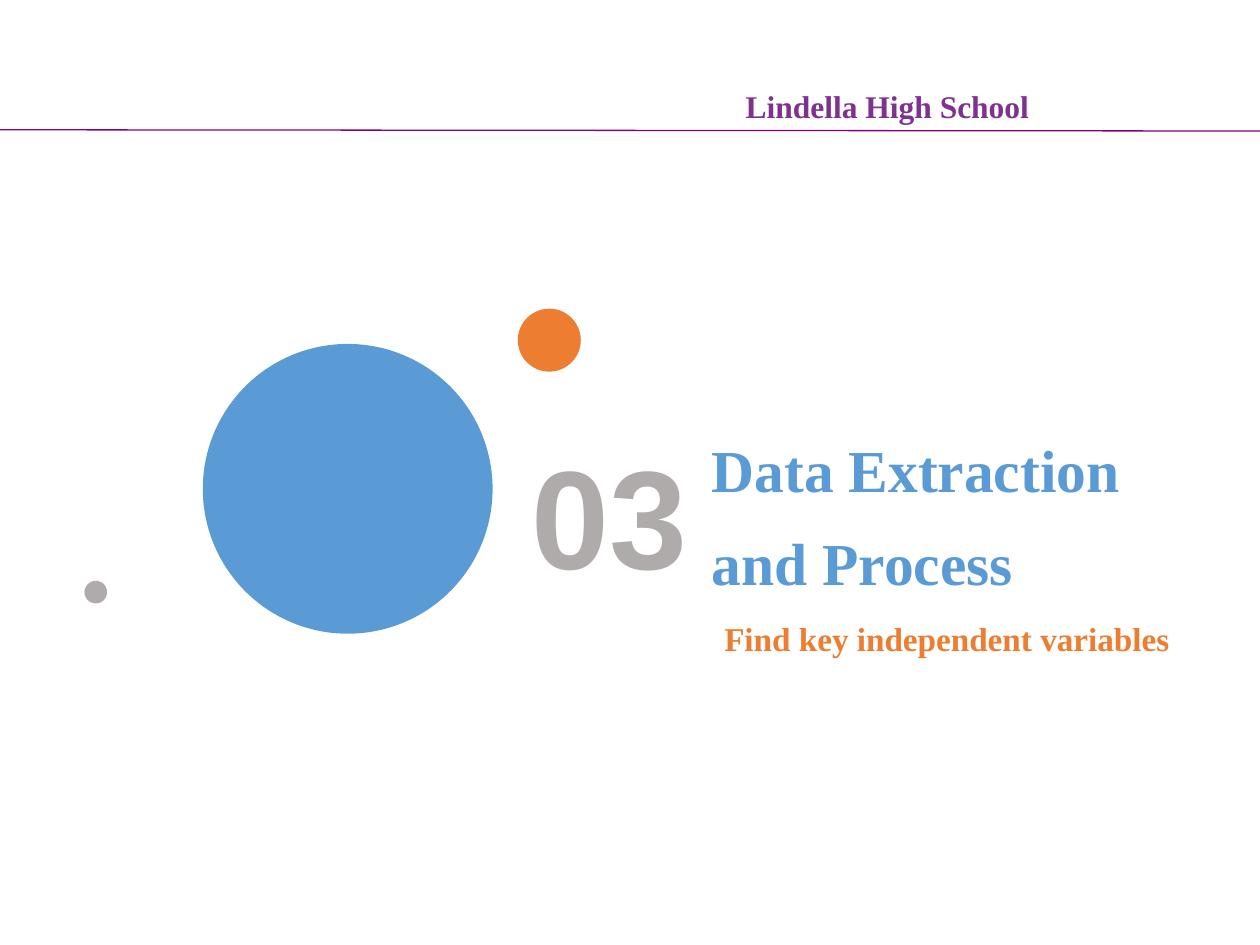
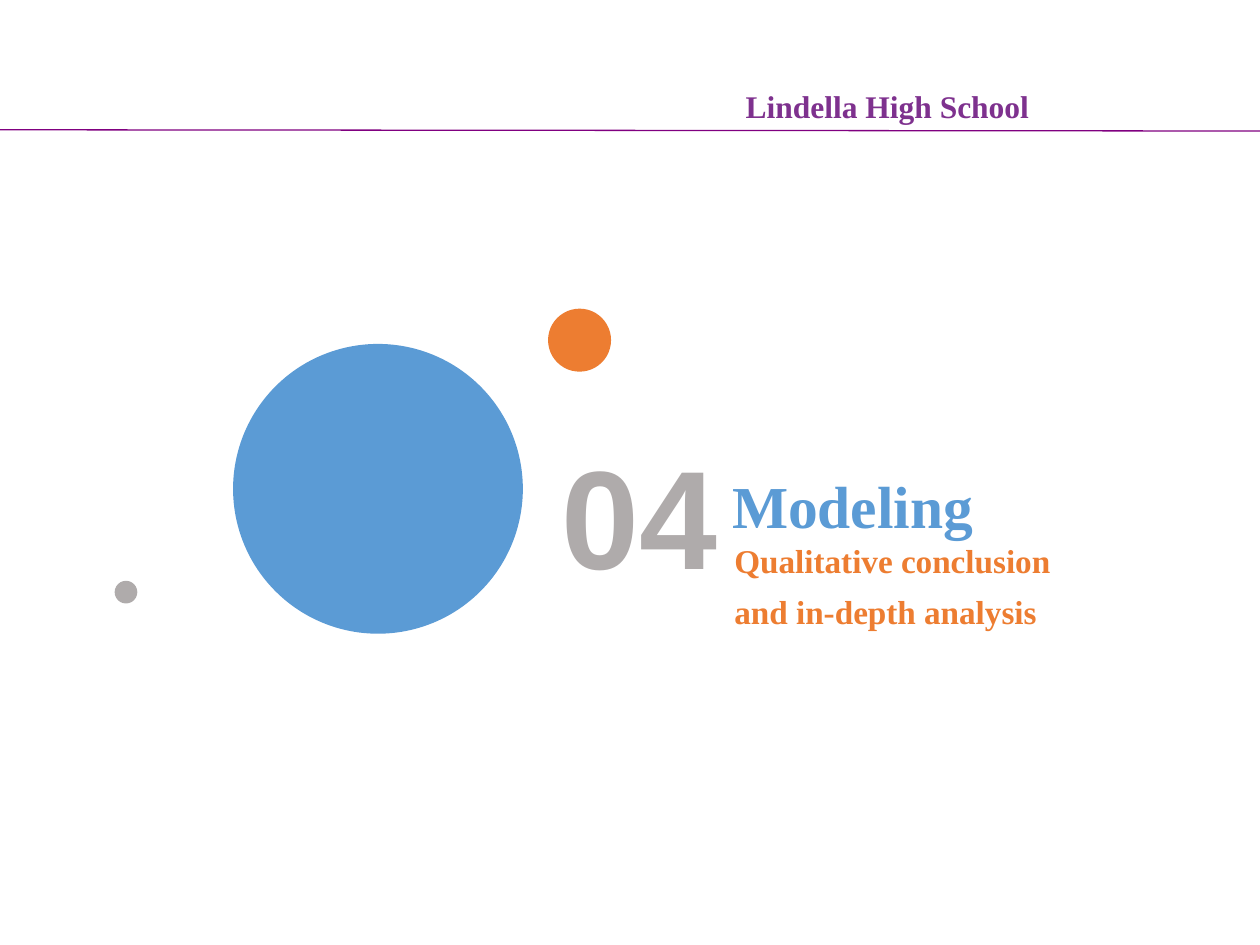
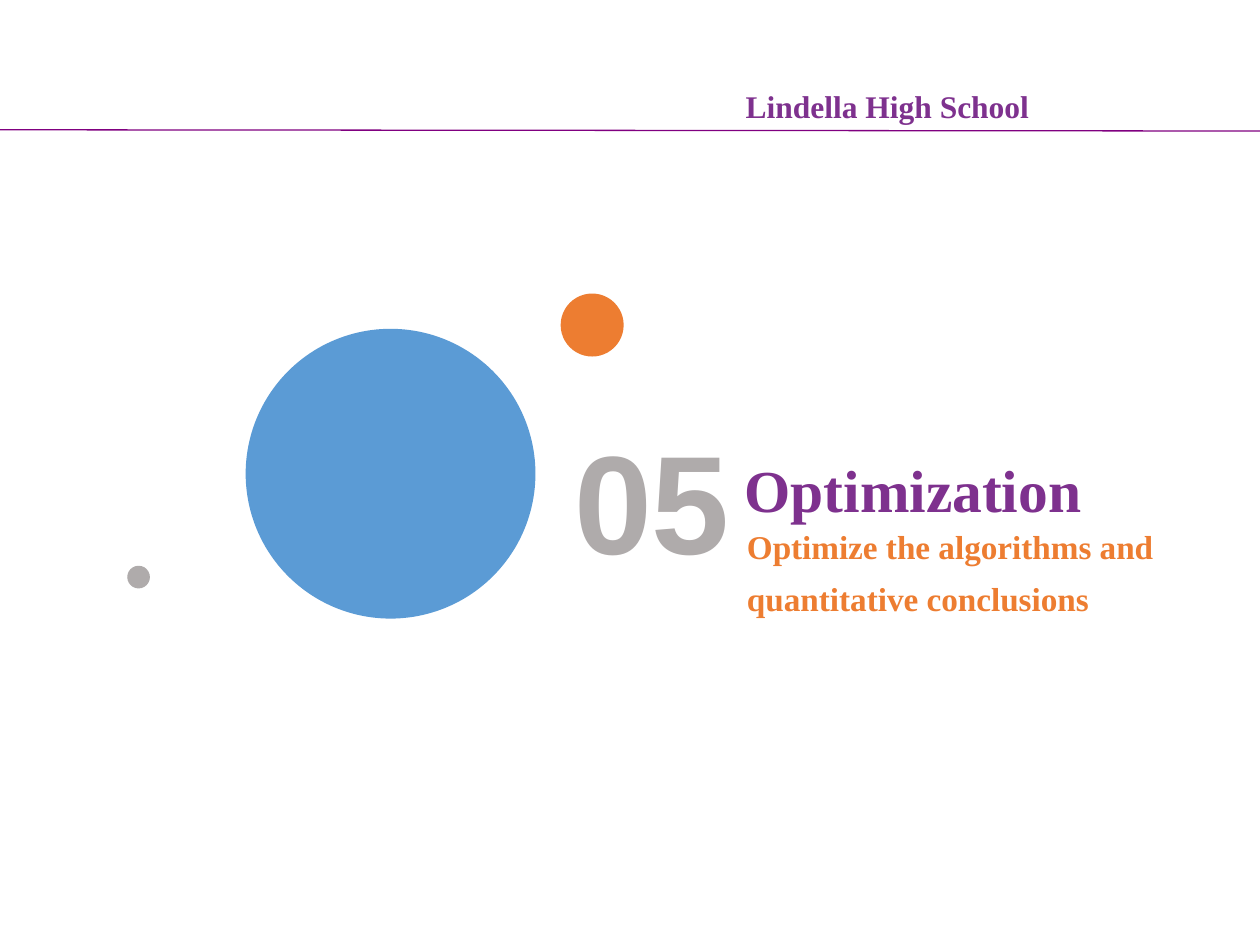
from dataclasses import dataclass
from lxml.etree import SubElement
from pptx import Presentation
from pptx.dml.color import RGBColor
from pptx.enum.shapes import MSO_CONNECTOR, MSO_SHAPE
from pptx.enum.text import MSO_AUTO_SIZE, PP_ALIGN
from pptx.oxml.ns import qn
from pptx.util import Pt

PX = 9144


@dataclass(frozen=True)
class Theme:
    blue: str = "5B9BD5"
    orange: str = "ED7D31"
    grey: str = "AFABAB"
    purple: str = "7E318E"
    rule: str = "800080"
    serif: str = "Times New Roman"
    sans: str = "Arial"
    head: int = 18
    number: int = 80
    title: int = 34
    note: int = 19


theme = Theme()


def add_text(slide, box, words, size, color, font=theme.serif, align=PP_ALIGN.LEFT,
             space=1.0, wrap=True, inset=True):
    frame = slide.shapes.add_textbox(*[n * PX for n in box]).text_frame
    frame.word_wrap = wrap
    frame.auto_size = MSO_AUTO_SIZE.SHAPE_TO_FIT_TEXT
    if not inset:
        frame.margin_left = frame.margin_top = frame.margin_right = frame.margin_bottom = 0
    para = frame.paragraphs[0]
    para.alignment = align
    para.line_spacing = space
    run = para.add_run()
    run.text = words
    run.font.name = font
    run.font.size = Pt(size)
    run.font.bold = True
    run.font.color.rgb = RGBColor.from_string(color)


def add_dot(slide, left, top, size, color):
    dot = slide.shapes.add_shape(MSO_SHAPE.OVAL, left * PX, top * PX, size * PX, size * PX)
    dot.shadow.inherit = False
    dot.fill.solid()
    dot.fill.fore_color.rgb = RGBColor.from_string(color)
    dot.line.fill.background()


sections = [
    ("03", (161, 273), "Data Extraction and Process", theme.blue, (565, 327, 372, 142),
     "Find key independent variables", (565, 476, 376, 52)),
    ("04", (185, 273), "Modeling", theme.blue, (581, 355, 355, 67),
     "Qualitative conclusion and in-depth analysis", (573, 414, 291, 89)),
    ("05", (195, 261), "Optimization", theme.purple, (591, 343, 355, 67),
     "Optimize the algorithms and quantitative conclusions", (583, 403, 379, 89)),
]

deck = Presentation()
deck.slide_width = 1000 * PX
deck.slide_height = 750 * PX

for number, (x, y), title, color, title_box, note, note_box in sections:
    slide = deck.slides.add_slide(deck.slide_layouts[6])

    rule = slide.shapes.add_connector(MSO_CONNECTOR.STRAIGHT, 0, 103 * PX, 1000 * PX, 104 * PX)
    rule.line.color.rgb = RGBColor.from_string(theme.rule)
    rule.line.width = Pt(0.75)
    SubElement(rule._element.spPr, qn("a:effectLst"))
    add_text(slide, (582, 64, 256, 40), "Lindella High School", theme.head, theme.purple, wrap=False)

    add_dot(slide, x, y, 230, theme.blue)
    add_text(slide, (x + 231, y + 63, 183, 145), number, theme.number, theme.grey,
             font=theme.sans, align=PP_ALIGN.CENTER)
    add_dot(slide, x - 94, y + 188, 18, theme.grey)
    add_dot(slide, x + 250, y - 28, 50, theme.orange)

    add_text(slide, title_box, title, theme.title, color, space=1.3, inset=False)
    add_text(slide, note_box, note, theme.note, theme.orange, space=1.3)

deck.save("out.pptx")
